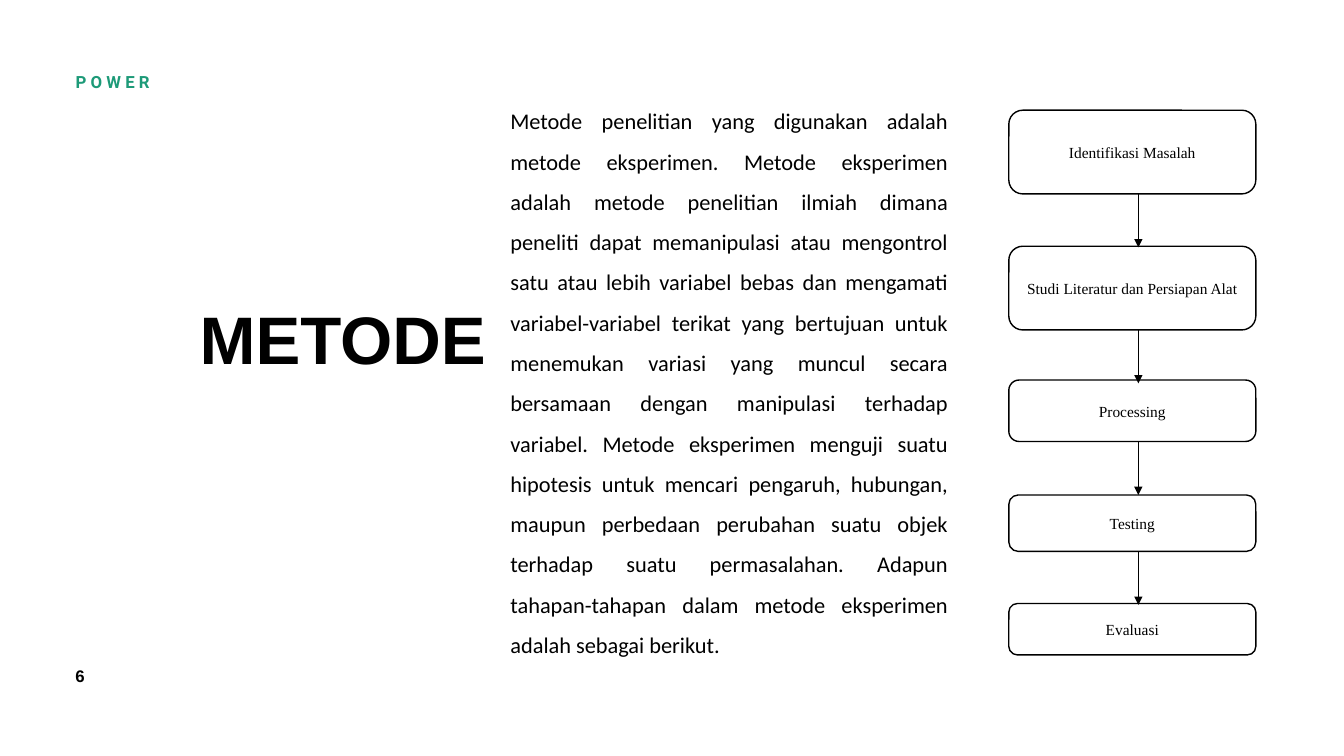
from dataclasses import dataclass

from lxml.etree import SubElement
from pptx import Presentation
from pptx.dml.color import RGBColor
from pptx.enum.shapes import MSO_CONNECTOR, MSO_SHAPE
from pptx.enum.text import MSO_ANCHOR, MSO_AUTO_SIZE, PP_ALIGN
from pptx.oxml.ns import qn
from pptx.shapes.autoshape import Shape
from pptx.slide import Slide
from pptx.text.text import Font
from pptx.util import Emu, Inches, Pt

SLIDE_WIDTH, SLIDE_HEIGHT = Inches(13.33), Inches(7.5)


@dataclass(frozen=True)
class Theme:
    ink: RGBColor = RGBColor(0, 0, 0)
    paper: RGBColor = RGBColor(255, 255, 255)
    green: RGBColor = RGBColor(0x1D, 0x9A, 0x78)
    lime: RGBColor = RGBColor(0x8B, 0xC1, 0x45)
    title_size: Pt = Pt(48)
    body_size: Pt = Pt(16)
    label_size: Pt = Pt(12)
    step_size: Pt = Pt(11)
    box_line: Pt = Pt(1)
    arrow_line: Pt = Pt(0.5)


def across(share: float) -> Emu:
    return Emu(int(SLIDE_WIDTH * share / 100))


def down(share: float) -> Emu:
    return Emu(int(SLIDE_HEIGHT * share / 100))


@dataclass(frozen=True)
class Area:
    """Position and size in percent of the slide's width and height."""
    left: float
    top: float
    width: float
    height: float

    def lengths(self) -> tuple[Emu, Emu, Emu, Emu]:
        return across(self.left), down(self.top), across(self.width), down(self.height)


@dataclass(frozen=True)
class TextStyle:
    size: Pt
    font: str
    bold: bool = False
    align: PP_ALIGN = PP_ALIGN.LEFT
    line_spacing: float = 1.0
    insets: tuple[float, float, float, float] = (0.1, 0.05, 0.1, 0.05)
    wrap: bool = True
    anchor: MSO_ANCHOR = MSO_ANCHOR.TOP
    grow: bool = True


@dataclass(frozen=True)
class Step:
    label: str
    top: float
    height: float


THEME = Theme()
TITLE = TextStyle(THEME.title_size, "Arial", bold=True, line_spacing=0.8, insets=(0, 0, 0, 0))
BODY = TextStyle(THEME.body_size, "Calibri", align=PP_ALIGN.JUSTIFY, line_spacing=1.5,
                 insets=(0, 0, 0.1, 0))
HEADER = TextStyle(THEME.label_size, "Roboto", bold=True, insets=(0, 0.05, 0, 0.05))
NUMBER = TextStyle(THEME.label_size, "Arial", bold=True, wrap=False)
STEP = TextStyle(THEME.step_size, "Times New Roman", align=PP_ALIGN.CENTER, line_spacing=1.07,
                 anchor=MSO_ANCHOR.MIDDLE, grow=False)

METHOD_TEXT = (
    "Metode penelitian yang digunakan adalah metode eksperimen. Metode eksperimen adalah metode "
    "penelitian ilmiah dimana peneliti dapat memanipulasi atau mengontrol satu atau lebih variabel "
    "bebas dan mengamati variabel-variabel terikat yang bertujuan untuk menemukan variasi yang "
    "muncul secara bersamaan dengan manipulasi terhadap variabel. Metode eksperimen menguji suatu "
    "hipotesis untuk mencari pengaruh, hubungan, maupun perbedaan perubahan suatu objek terhadap "
    "suatu permasalahan. Adapun tahapan-tahapan dalam metode eksperimen adalah sebagai berikut."
)
STEPS = (
    Step("Identifikasi Masalah", 14.58, 11.07),
    Step("Studi Literatur dan Persiapan Alat", 32.57, 11.07),
    Step("Processing", 50.27, 8.13),
    Step("Testing", 65.47, 7.47),
    Step("Evaluasi", 79.83, 6.8),
)
FLOW_LEFT, FLOW_WIDTH = 75.06, 18.38
ARROW_LEFT, ARROW_LENGTH = 84.7, 7.07


def write(box: Shape, text: str, style: TextStyle) -> Font:
    frame = box.text_frame
    frame.text = text
    frame.word_wrap = style.wrap
    frame.vertical_anchor = style.anchor
    frame.auto_size = MSO_AUTO_SIZE.SHAPE_TO_FIT_TEXT if style.grow else MSO_AUTO_SIZE.NONE
    (frame.margin_left, frame.margin_top,
     frame.margin_right, frame.margin_bottom) = map(Inches, style.insets)
    para = frame.paragraphs[0]
    para.alignment = style.align
    para.line_spacing = style.line_spacing
    font = para.runs[0].font
    font.size, font.name, font.bold = style.size, style.font, style.bold
    font.color.rgb = THEME.ink
    return font


def add_text(page: Slide, area: Area, text: str, style: TextStyle) -> Shape:
    box = page.shapes.add_textbox(*area.lengths())
    write(box, text, style)
    return box


def add_header(page: Slide) -> None:
    box = add_text(page, Area(5.63, 8.8, 5.78, 4), "POWER", HEADER)
    span = box.text_frame.paragraphs[0].runs[0]
    fill = span.font.fill
    fill.gradient()
    fill.gradient_angle = 315
    for stop, color in zip(fill.gradient_stops, (THEME.green, THEME.lime)):
        stop.color.rgb = color
    span._r.get_or_add_rPr().set("spc", "300")


def add_step(page: Slide, step: Step) -> None:
    area = Area(FLOW_LEFT, step.top, FLOW_WIDTH, step.height)
    box = page.shapes.add_shape(MSO_SHAPE.ROUNDED_RECTANGLE, *area.lengths())
    box.shadow.inherit = False
    box.fill.solid()
    box.fill.fore_color.rgb = THEME.paper
    box.line.color.rgb = THEME.ink
    box.line.width = THEME.box_line
    write(box, step.label, STEP)
    box.text_frame.paragraphs[0].space_after = Pt(8)


def add_arrow(page: Slide, step: Step) -> None:
    """Draw the arrow that leaves a step, slightly right of its middle."""
    left, bottom = across(ARROW_LEFT), step.top + step.height
    arrow = page.shapes.add_connector(MSO_CONNECTOR.STRAIGHT, left, down(bottom),
                                      left, down(bottom + ARROW_LENGTH))
    arrow.line.color.rgb = THEME.ink
    arrow.line.width = THEME.arrow_line
    SubElement(arrow.line._get_or_add_ln(), qn("a:tailEnd"), type="triangle")
    SubElement(arrow._element.spPr, qn("a:effectLst"))


def main() -> None:
    deck = Presentation()
    deck.slide_width, deck.slide_height = SLIDE_WIDTH, SLIDE_HEIGHT
    page = deck.slides.add_slide(deck.slide_layouts[5])

    # Title
    title = page.shapes.title
    title.left, title.top, title.width, title.height = Area(14.85, 41.33, 33.83, 8.8).lengths()
    write(title, "METODE", TITLE)

    # Header and page number
    add_header(page)
    add_text(page, Area(4.88, 87.4, 3, 4), "6", NUMBER)

    # Method description
    add_text(page, Area(37.98, 12.44, 33.31, 75.33), METHOD_TEXT, BODY)

    # Flow chart of the steps
    for step in STEPS:
        add_step(page, step)
    for step in STEPS[:-1]:
        add_arrow(page, step)

    deck.save("out.pptx")


if __name__ == "__main__":
    main()
